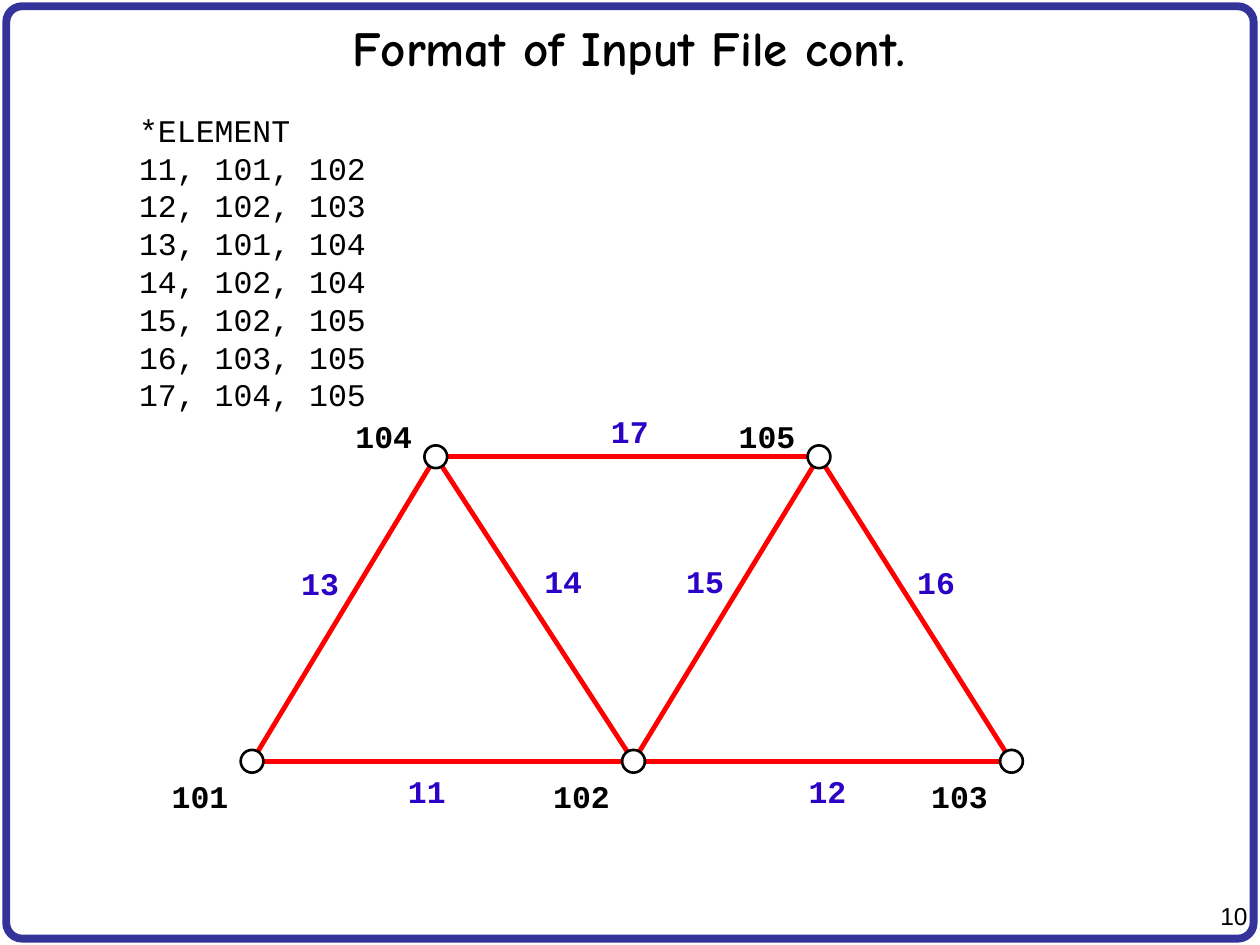
from dataclasses import dataclass

from lxml import etree
from pptx import Presentation
from pptx.dml.color import RGBColor
from pptx.enum.shapes import MSO_CONNECTOR, MSO_SHAPE
from pptx.enum.text import MSO_ANCHOR, PP_ALIGN
from pptx.oxml.ns import qn
from pptx.util import Pt

LINE = MSO_CONNECTOR.STRAIGHT
OVAL, ROUND = MSO_SHAPE.OVAL, MSO_SHAPE.ROUNDED_RECTANGLE
LEFT, CENTER, RIGHT = PP_ALIGN.LEFT, PP_ALIGN.CENTER, PP_ALIGN.RIGHT
TOP, MIDDLE = MSO_ANCHOR.TOP, MSO_ANCHOR.MIDDLE


@dataclass(frozen=True)
class Theme:
    ink: RGBColor = RGBColor(0, 0, 0)
    paper: RGBColor = RGBColor(255, 255, 255)
    frame: RGBColor = RGBColor(0x33, 0x33, 0x99)
    bar: RGBColor = RGBColor(255, 0, 0)
    tag: RGBColor = RGBColor(0x2C, 0x02, 0xC6)
    head: str = "Comic Neue"
    code: str = "Courier New"
    plain: str = "Arial"
    title: int = 28
    text: int = 18
    page: int = 14
    pitch: float = 21.6  # line height of code text


THEME = Theme()

# Node number: centre of its circle
NODES = {
    101: (144, 435),
    102: (362, 435),
    103: (578, 435),
    104: (249, 261),
    105: (468, 261),
}
# Element number: start node, end node, corner of its tag
ELEMENTS = {
    11: (101, 102, (226, 436.3)),
    12: (102, 103, (455, 436.3)),
    13: (101, 104, (165, 317.5)),
    14: (102, 104, (304, 316.3)),
    15: (102, 105, (385, 316.3)),
    16: (103, 105, (517, 316.8)),
    17: (104, 105, (342, 230.4)),
}
BASE = 435  # height of the lower nodes
NODE_SIZE = 13


def add_text(slide, box, lines, font, size, color=THEME.ink, bold=False,
             align=LEFT, anchor=TOP, wrap=True):
    shape = slide.shapes.add_textbox(*map(Pt, box))
    frame = shape.text_frame
    frame.word_wrap = wrap
    frame.vertical_anchor = anchor
    frame.text = "\n".join(lines)
    for para in frame.paragraphs:
        para.alignment = align
        para.font.name = font
        para.font.size = Pt(size)
        para.font.bold = bold
        para.font.color.rgb = color
    return frame


def add_code(slide, box, lines, **style):
    """Add monospaced text with a fixed line height."""
    frame = add_text(slide, box, lines, THEME.code, THEME.text, **style)
    frame.margin_top = Pt(5)
    for para in frame.paragraphs:
        para.line_spacing = Pt(THEME.pitch)
    return frame


def add_label(slide, spot, num, color, width):
    add_code(slide, (*spot, width, 28.8), [str(num)],
             color=color, bold=True, wrap=False)


def add_outline(slide, kind, box, color, width):
    shape = slide.shapes.add_shape(kind, *map(Pt, box))
    shape.shadow.inherit = False
    shape.fill.solid()
    shape.fill.fore_color.rgb = THEME.paper
    shape.line.color.rgb = color
    shape.line.width = Pt(width)
    return shape


def add_bar(slide, start, end):
    bar = slide.shapes.add_connector(LINE, *map(Pt, (*start, *end)))
    bar.line.color.rgb = THEME.bar
    bar.line.width = Pt(2.75)
    etree.SubElement(bar._element.spPr, qn("a:effectLst"))


def add_node(slide, num, spot):
    x, y = spot
    half = NODE_SIZE / 2
    add_outline(slide, OVAL, (x - half, y - half, NODE_SIZE, NODE_SIZE),
                THEME.ink, 1.5)
    drop = 4 if y == BASE else -27.5
    add_label(slide, (x - 53, y + drop), num, THEME.ink, 46.8)


def add_listing(slide):
    rows = [f"{num}, {a}, {b}" for num, (a, b, _) in ELEMENTS.items()]
    frame = add_code(slide, (9.4, 58.3, 701.3, 462.2), ["*ELEMENT", *rows])
    for para in frame.paragraphs:
        props = para._p.get_or_add_pPr()
        props.set("marL", str(Pt(81)))
        props.set("indent", str(Pt(-18)))


def add_truss(slide):
    for a, b, _ in ELEMENTS.values():
        add_bar(slide, NODES[a], NODES[b])
    for num, spot in NODES.items():
        add_node(slide, num, spot)
    for num, (_, _, spot) in ELEMENTS.items():
        add_label(slide, spot, num, THEME.tag, 36)


def main():
    deck = Presentation()
    deck.slide_width, deck.slide_height = Pt(720), Pt(540)
    slide = deck.slides.add_slide(deck.slide_layouts[6])
    frame = add_outline(slide, ROUND, (3.6, 3.6, 712.8, 532.8),
                        THEME.frame, 4.5)
    frame.adjustments[0] = 0.017
    add_text(slide, (681, 511.2, 39, 23.8), ["10"], THEME.plain, THEME.page,
             align=RIGHT)
    add_text(slide, (2.9, 3.6, 712.8, 46.8), ["Format of Input File cont."],
             THEME.head, THEME.title, bold=True, align=CENTER, anchor=MIDDLE)
    add_listing(slide)
    add_truss(slide)
    deck.save("out.pptx")


if __name__ == "__main__":
    main()
